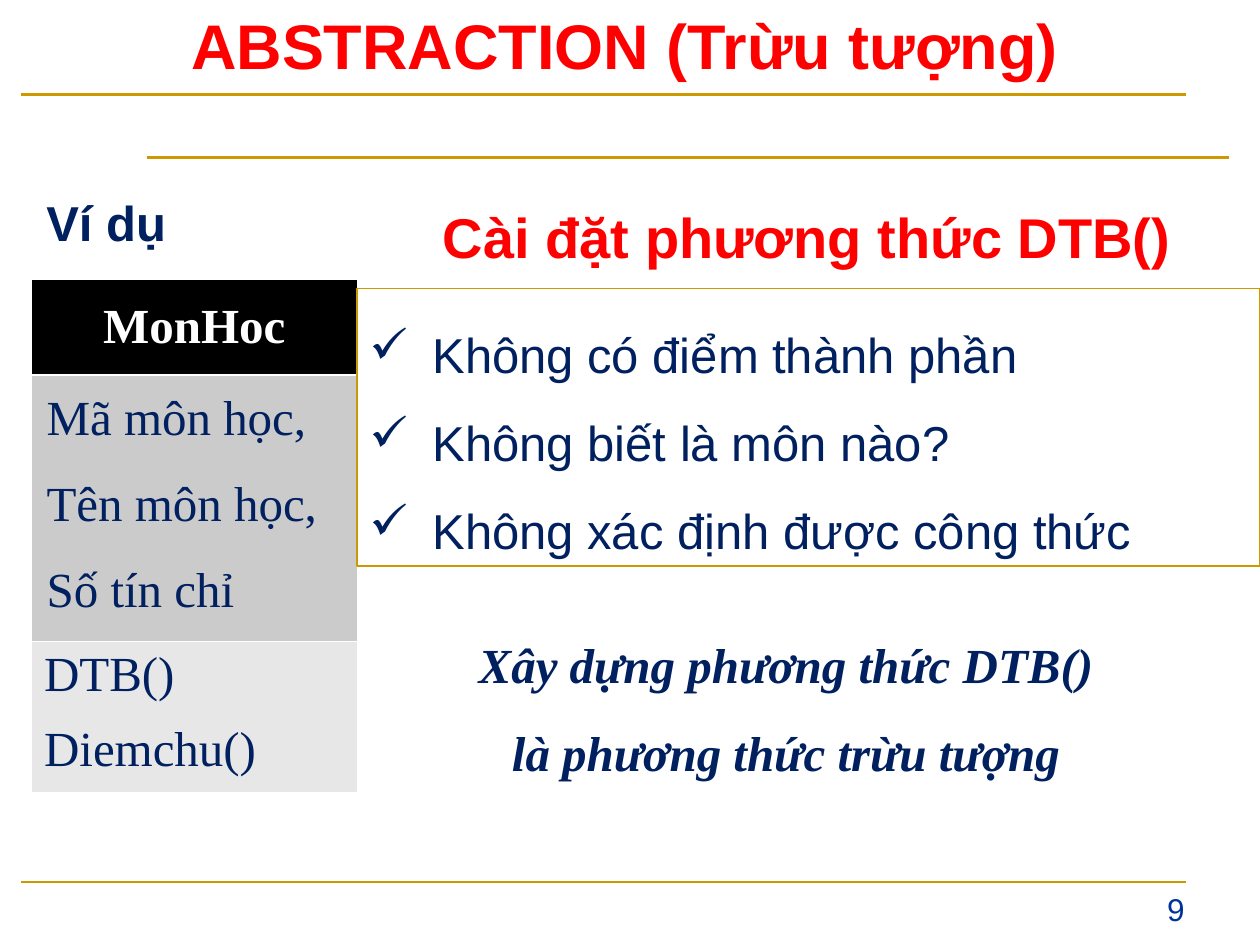
from lxml import etree
from pptx import Presentation
from pptx import util as u
from pptx.dml.color import RGBColor
from pptx.enum import shapes, text
from pptx.oxml import parse_xml
from pptx.oxml.ns import nsdecls, qn

GOLD = RGBColor(0xCC, 0x99, 0x00)
NAVY = RGBColor(0x00, 0x20, 0x60)
BLUE = RGBColor(0x00, 0x33, 0x99)
RED = RGBColor(0xFF, 0x00, 0x00)
WHITE = RGBColor(0xFF, 0xFF, 0xFF)
BLACK = RGBColor(0x00, 0x00, 0x00)
GREY = RGBColor(0xCB, 0xCB, 0xCB)
PALE = RGBColor(0xE7, 0xE7, 0xE7)
SANS, SERIF = "Arial", "Times New Roman"
LEFT, CENTER, RIGHT, JUSTIFY = (text.PP_ALIGN.LEFT, text.PP_ALIGN.CENTER,
                                text.PP_ALIGN.RIGHT, text.PP_ALIGN.JUSTIFY)

prs = Presentation()
prs.slide_width, prs.slide_height = u.Inches(10), u.Inches(7.5)
UNIT = prs.slide_width / 120  # the slide is a grid of 120 columns by 90 rows


def grid(*cells):
    return [round(cell * UNIT) for cell in cells]


def write(frame, lines, size, color, align, font=SANS, bold=False, italic=False,
          spacing=1.0, before=0, after=0, indent=0, hanging=0):
    """Fill a text frame with equally formatted paragraphs, anchored at the top."""
    frame.word_wrap = True
    frame.vertical_anchor = text.MSO_ANCHOR.TOP
    for i, line in enumerate(lines):
        paragraph = frame.add_paragraph() if i else frame.paragraphs[0]
        paragraph.text = line
        paragraph.alignment = align
        paragraph.line_spacing = spacing
        paragraph.space_before, paragraph.space_after = u.Pt(before), u.Pt(after)
        paragraph.font.name, paragraph.font.size = font, u.Pt(size)
        paragraph.font.bold, paragraph.font.italic = bold, italic
        paragraph.font.color.rgb = color
        properties = paragraph._p.get_or_add_pPr()
        properties.set("marL", str(u.Inches(indent)))
        properties.set("indent", str(u.Inches(hanging)))


slide = prs.slides.add_slide(prs.slide_layouts[5])

# Heading
title = slide.shapes.title
title.left, title.top, title.width, title.height = grid(0, 0, 119, 8.4)
write(title.text_frame, ["ABSTRACTION (Trừu tượng)"], 36, RED, CENTER, bold=True)
title.text_frame.auto_size = text.MSO_AUTO_SIZE.NONE

# Rules: first column, last column, row, weight
for start, end, row, weight in [(2, 113, 9, 2.25), (14, 117, 15, 2.25), (2, 113, 84, 1.5)]:
    rule = slide.shapes.add_connector(shapes.MSO_CONNECTOR.STRAIGHT,
                                      *grid(start, row, end, row))
    rule.line.color.rgb = GOLD
    rule.line.width = u.Pt(weight)
    etree.SubElement(rule._element.spPr, qn("a:effectLst"))

# Example and its class table
example = slide.shapes.add_textbox(*grid(3, 17.2, 114, 7.4))
write(example.text_frame, ["Ví dụ"], 28, NAVY, JUSTIFY, bold=True,
      spacing=1.1, before=6, indent=0.02)

row_heights = grid(9.1, 25.3, 14.4)
class_table = slide.shapes.add_table(3, 1, *grid(3, 26.6, 31, 48.8)).table
members = [
    (["MonHoc"], BLACK, WHITE, CENTER, {"bold": True}),
    (["Mã môn học,", "Tên môn học,", "Số tín chỉ"], GREY, NAVY, JUSTIFY,
     {"spacing": 1.2, "indent": 0.02}),
    (["DTB()", "Diemchu()"], PALE, NAVY, LEFT, {}),
]
THIN, THICK = u.Pt(0.45), u.Pt(1.47)
for i, (lines, fill, color, align, style) in enumerate(members):
    class_table.rows[i].height = row_heights[i]
    cell = class_table.cell(i, 0)
    write(cell.text_frame, lines, 28, color, align, font=SERIF, before=6, after=6, **style)
    cell.vertical_anchor = text.MSO_ANCHOR.TOP if i else text.MSO_ANCHOR.MIDDLE
    borders = {"lnL": THIN, "lnR": THIN,
               "lnT": THICK if i == 1 else THIN, "lnB": THICK if i == 0 else THIN}
    for side, width in borders.items():
        cell._tc.get_or_add_tcPr().append(parse_xml(
            f'<a:{side} {nsdecls("a")} w="{width}"><a:solidFill>'
            f'<a:srgbClr val="{WHITE}"/></a:solidFill></a:{side}>'))
    cell.fill.solid()
    cell.fill.fore_color.rgb = fill

# Why the method cannot be implemented
question = slide.shapes.add_textbox(*grid(41, 15.5, 74.3, 10.8))
write(question.text_frame, ["Cài đặt phương thức DTB()"], 32, RED, JUSTIFY,
      bold=True, spacing=1.5)

reasons = slide.shapes.add_shape(shapes.MSO_SHAPE.RECTANGLE, *grid(34, 27.5, 86, 26.4))
reasons.shadow.inherit = False
reasons.fill.background()
reasons.line.color.rgb = GOLD
reasons.line.width = u.Pt(0.75)
write(reasons.text_frame,
      ["Không có điểm thành phần", "Không biết là môn nào?", "Không xác định được công thức"],
      28, NAVY, JUSTIFY, spacing=1.5, indent=0.5, hanging=-0.5)
for paragraph in reasons.text_frame.paragraphs:
    properties = paragraph._p.get_or_add_pPr()
    check = etree.Element(qn("a:buChar"), char="✓")
    properties.find(qn("a:spcAft")).addnext(check)

# Conclusion and page number
conclusion = slide.shapes.add_textbox(*grid(44, 57, 61.7, 18))
write(conclusion.text_frame, ["Xây dựng phương thức DTB() là phương thức trừu tượng"],
      28, NAVY, CENTER, font=SERIF, bold=True, italic=True, spacing=1.5, before=6, after=6)

page_number = slide.shapes.add_textbox(*grid(92, 84.2, 22, 4.8))
write(page_number.text_frame, ["9"], 18, BLUE, RIGHT)

prs.save("out.pptx")
